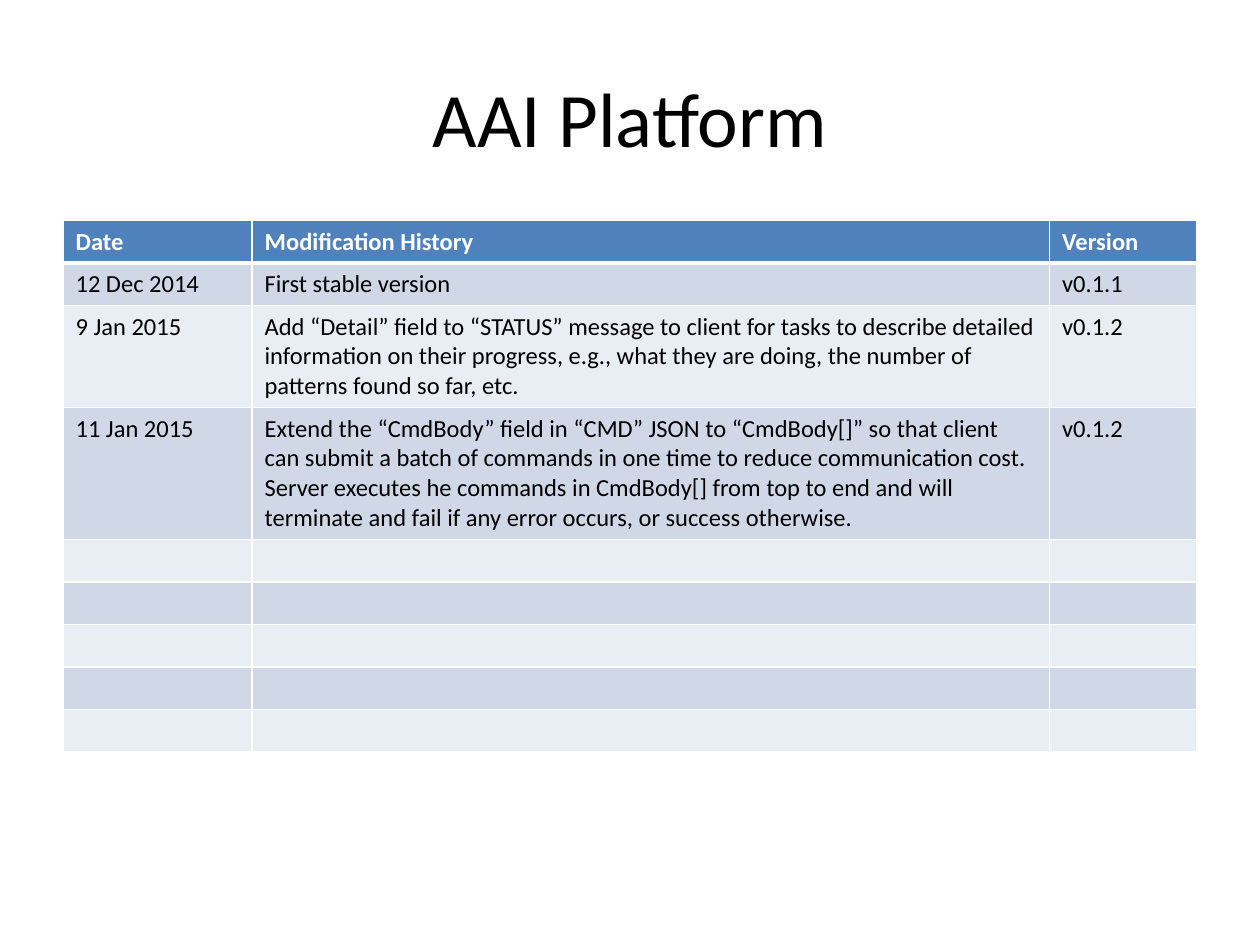
from lxml import etree
from pptx import Presentation
from pptx.dml.color import RGBColor
from pptx.enum.text import MSO_ANCHOR, PP_ALIGN
from pptx.oxml.ns import qn
from pptx.util import Inches, Pt

MIDDLE, CENTER = MSO_ANCHOR.MIDDLE, PP_ALIGN.CENTER
TITLE_ONLY = 5

# Content
TITLE = "AAI Platform"
HEADER = ("Date", "Modification History", "Version")
HISTORY = [
    ("12 Dec 2014", "First stable version", "v0.1.1"),
    ("9 Jan 2015",
     "Add “Detail” field to “STATUS” message to client for tasks to describe "
     "detailed information on their progress, e.g., what they are doing, the "
     "number of patterns found so far, etc.", "v0.1.2"),
    ("11 Jan 2015",
     "Extend the “CmdBody” field in “CMD” JSON to “CmdBody[]” so that client can "
     "submit a batch of commands in one time to reduce communication cost. Server "
     "executes he commands in CmdBody[] from top to end and will terminate and "
     "fail if any error occurs, or success otherwise.", "v0.1.2"),
]
SPARE_ROWS = 5
ROWS = [HEADER, *HISTORY, *[("", "", "")] * SPARE_ROWS]
LINES = [1, 1, 3, 4] + [1] * SPARE_ROWS

# Theme and layout
THEME = dict(font="Calibri", title=44, body=14, ink="000000", white="FFFFFF",
             head="4F81BD", bands=("E9EDF4", "D0D8E8"), rule=1, head_rule=3)
MARGIN, WIDTH = 0.5, 9
COLS = (1.5, 6.33, 1.17)
TABLE_TOP, LINE_H, PAD = 1.75, 0.237, 0.1


def add_text(p, text, size, color, bold=False):
    r = p.add_run()
    r.text = text
    r.font.name, r.font.size, r.font.bold = THEME["font"], Pt(size), bold
    r.font.color.rgb = RGBColor.from_string(color)


def add_border(cell, side, width):
    ln = etree.SubElement(cell._tc.get_or_add_tcPr(), qn("a:ln" + side), w=str(Pt(width)))
    fill = etree.SubElement(ln, qn("a:solidFill"))
    etree.SubElement(fill, qn("a:srgbClr"), val=THEME["white"])


prs = Presentation()
prs.slide_width, prs.slide_height = Inches(10), Inches(7.5)
s = prs.slides.add_slide(prs.slide_layouts[TITLE_ONLY])

# Title
title = s.shapes.title
title.left, title.top, title.width, title.height = map(Inches, (MARGIN, 0.3, WIDTH, 1.25))
tf = title.text_frame
tf.vertical_anchor = MIDDLE
tf.paragraphs[0].alignment = CENTER
add_text(tf.paragraphs[0], TITLE, THEME["title"], THEME["ink"])

# History table
heights = [n * LINE_H + PAD for n in LINES]
table = s.shapes.add_table(len(ROWS), len(COLS), Inches(MARGIN), Inches(TABLE_TOP),
                           Inches(WIDTH), Inches(sum(heights))).table
for col, width in zip(table.columns, COLS):
    col.width = Inches(width)
for i, (texts, height) in enumerate(zip(ROWS, heights)):
    table.rows[i].height = Inches(height)
    is_head = i == 0
    for j, text in enumerate(texts):
        cell = table.cell(i, j)
        for side in "LRTB":
            thick = (is_head and side == "B") or (i == 1 and side == "T")
            add_border(cell, side, THEME["head_rule" if thick else "rule"])
        cell.fill.solid()
        cell.fill.fore_color.rgb = RGBColor.from_string(
            THEME["head"] if is_head else THEME["bands"][i % 2])
        p = cell.text_frame.paragraphs[0]
        if text:
            add_text(p, text, THEME["body"], THEME["white" if is_head else "ink"], is_head)
        else:
            # An empty cell takes its line height from the end mark
            etree.SubElement(p._p, qn("a:endParaRPr"), sz=str(THEME["body"] * 100))

prs.save("out.pptx")
